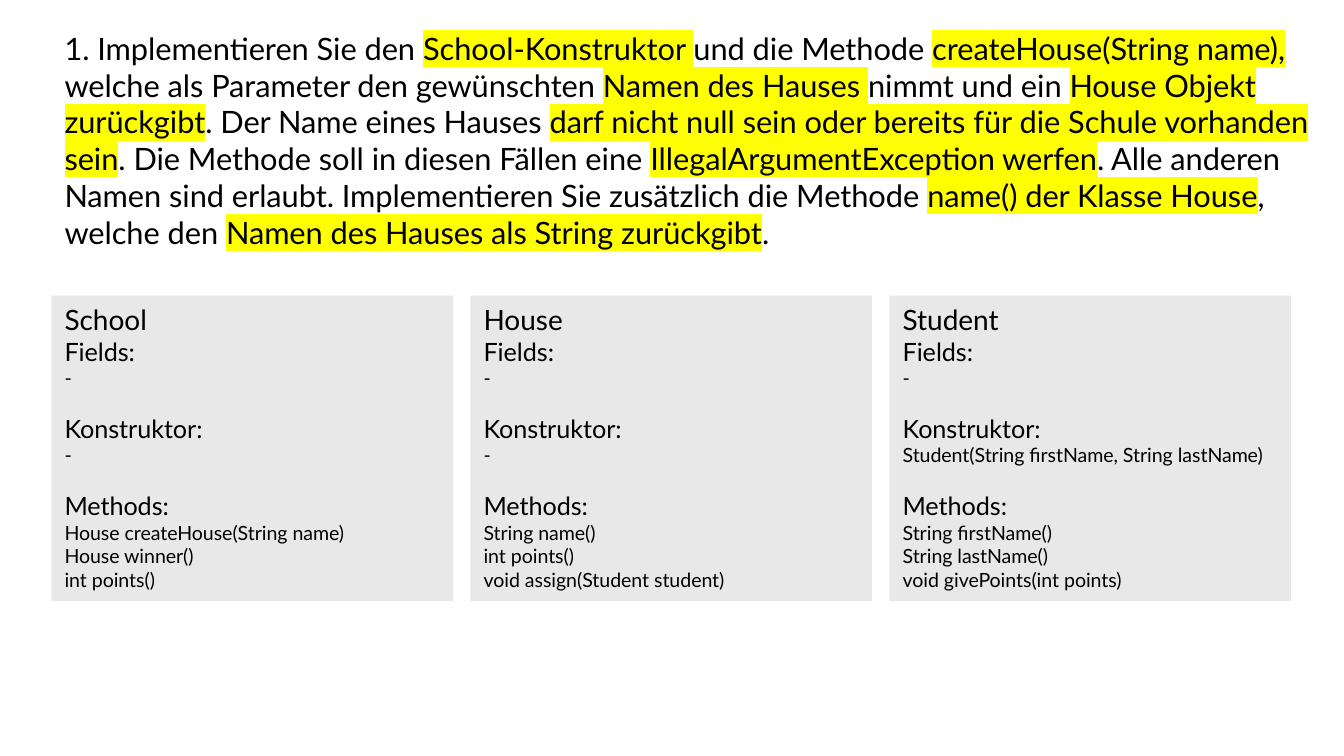
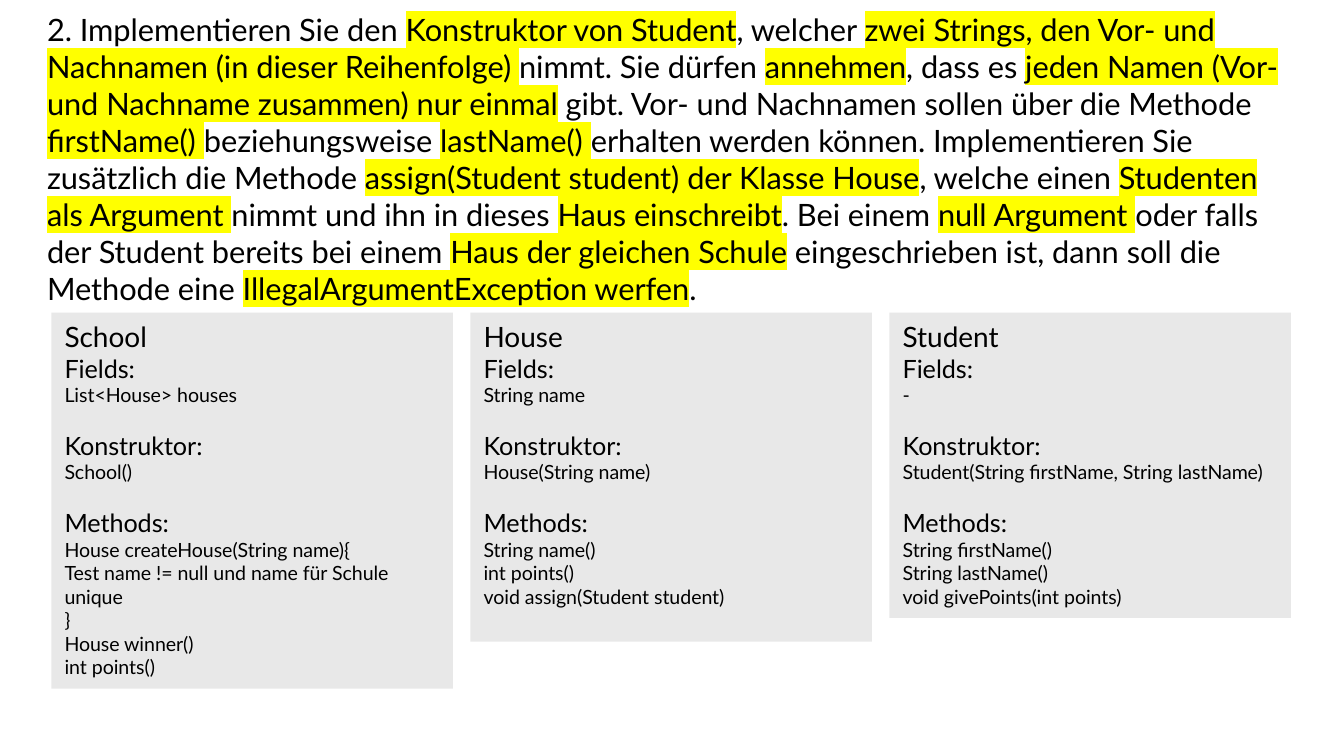
from pptx import Presentation
from pptx.dml.color import RGBColor
from pptx.enum.shapes import MSO_SHAPE
from pptx.enum.text import MSO_ANCHOR, PP_ALIGN
from pptx.oxml.ns import qn
from pptx.util import Cm, Pt
from lxml.etree import SubElement

BLACK = RGBColor(0x00, 0x00, 0x00)
GREY = RGBColor(0xE8, 0xE8, 0xE8)
YELLOW = RGBColor(0xFF, 0xFF, 0x00)
FONT = "Lato"
TASK_SIZE, CLASS_SIZE, HEADING_SIZE, MEMBER_SIZE = Pt(16.5), Pt(15), Pt(13.5), Pt(10.5)
SECTION_GAP = Pt(12.6)
BOX_LEFT, BOX_WIDTH, BOX_PITCH = 0.97, 7.59, 7.92

STUDENT = {
    "name": "Student",
    "height": 5.77,
    "Fields:": ["-"],
    "Konstruktor:": ["Student(String firstName, String lastName)"],
    "Methods:": ["String firstName()", "String lastName()", "void givePoints(int points)"],
}
HOUSE_METHODS = ["String name()", "int points()", "void assign(Student student)"]

# Text between two bars is highlighted.
TASKS = [
    {
        "text": "1. Implementieren Sie den |School-Konstruktor |und die Methode "
                "|createHouse(String name), |welche als Parameter den gewünschten "
                "|Namen des Hauses |nimmt und ein |House Objekt zurückgibt|. "
                "Der Name eines Hauses |darf nicht null sein oder bereits für die Schule "
                "vorhanden sein|. Die Methode soll in diesen Fällen eine "
                "|IllegalArgumentException werfen|. Alle anderen Namen sind erlaubt. "
                "Implementieren Sie zusätzlich die Methode |name() der Klasse House|, "
                "welche den |Namen des Hauses als String zurückgibt|.",
        "place": (0.97, 0.43, 24.1, 4.5),
        "boxes_top": 5.59,
        "classes": [
            {
                "name": "School",
                "height": 5.77,
                "Fields:": ["-"],
                "Konstruktor:": ["-"],
                "Methods:": ["House createHouse(String name)", "House winner()", "int points()"],
            },
            {
                "name": "House",
                "height": 5.77,
                "Fields:": ["-"],
                "Konstruktor:": ["-"],
                "Methods:": HOUSE_METHODS,
            },
            STUDENT,
        ],
    },
    {
        "text": "2. Implementieren Sie den |Konstruktor von Student|, welcher "
                "|zwei Strings, den Vor- und Nachnamen (in dieser Reihenfolge) |nimmt. "
                "Sie dürfen |annehmen|, dass es |jeden Namen (Vor-und Nachname zusammen) "
                "nur einmal| gibt. Vor- und Nachnamen sollen über die Methode "
                "|firstName() |beziehungsweise |lastName() |erhalten werden können. "
                "Implementieren Sie zusätzlich die Methode "
                "|assign(Student student) der Klasse House|, welche einen "
                "|Studenten als Argument |nimmt und ihn in dieses |Haus einschreibt|. "
                "Bei einem |null Argument |oder falls der Student bereits bei einem "
                "|Haus der gleichen Schule| eingeschrieben ist, dann soll die Methode eine "
                "|IllegalArgumentException werfen|.",
        "place": (0.64, 0.08, 24.1, 5.89),
        "boxes_top": 5.91,
        "classes": [
            {
                "name": "School",
                "height": 7.11,
                "Fields:": ["List<House> houses"],
                "Konstruktor:": ["School()"],
                "Methods:": [
                    "House createHouse(String name){",
                    "Test name != null und name für Schule unique",
                    "}",
                    "House winner()",
                    "int points()",
                ],
            },
            {
                "name": "House",
                "height": 6.22,
                "Fields:": ["String name"],
                "Konstruktor:": ["House(String name)"],
                "Methods:": HOUSE_METHODS,
            },
            STUDENT,
        ],
    },
]


def add_run(paragraph, text, size, highlighted=False):
    run = paragraph.add_run()
    run.text = text
    run.font.color.rgb = BLACK
    if highlighted:
        highlight = SubElement(run.font._element, qn("a:highlight"))
        SubElement(highlight, qn("a:srgbClr"), val=str(YELLOW))
    for attribute, value in {"name": FONT, "size": size}.items():
        setattr(run.font, attribute, value)


presentation = Presentation()
presentation.slide_width = Cm(25.4)
presentation.slide_height = Cm(14.29)

for task in TASKS:
    slide = presentation.slides.add_slide(presentation.slide_layouts[6])

    for column, class_info in enumerate(task["classes"]):
        box = slide.shapes.add_shape(
            MSO_SHAPE.RECTANGLE,
            Cm(BOX_LEFT + column * BOX_PITCH), Cm(task["boxes_top"]),
            Cm(BOX_WIDTH), Cm(class_info["height"]),
        )
        box.shadow.inherit = False
        box.fill.solid()
        box.fill.fore_color.rgb = GREY
        box.line.fill.background()
        frame = box.text_frame
        frame.word_wrap = True
        frame.vertical_anchor = MSO_ANCHOR.TOP

        lines = [(class_info["name"], CLASS_SIZE, 0)]
        for heading in ("Fields:", "Konstruktor:", "Methods:"):
            gap = 0 if heading == "Fields:" else SECTION_GAP
            lines.append((heading, HEADING_SIZE, gap))
            lines += [(member, MEMBER_SIZE, 0) for member in class_info[heading]]

        for index, (text, size, gap) in enumerate(lines):
            paragraph = frame.add_paragraph() if index else frame.paragraphs[0]
            paragraph.alignment = PP_ALIGN.LEFT
            if gap:
                paragraph.space_before = gap
            add_run(paragraph, text, size)

    task_box = slide.shapes.add_textbox(*[Cm(length) for length in task["place"]])
    task_box.text_frame.word_wrap = True
    for index, part in enumerate(task["text"].split("|")):
        add_run(task_box.text_frame.paragraphs[0], part, TASK_SIZE, highlighted=index % 2 == 1)

presentation.save("out.pptx")
